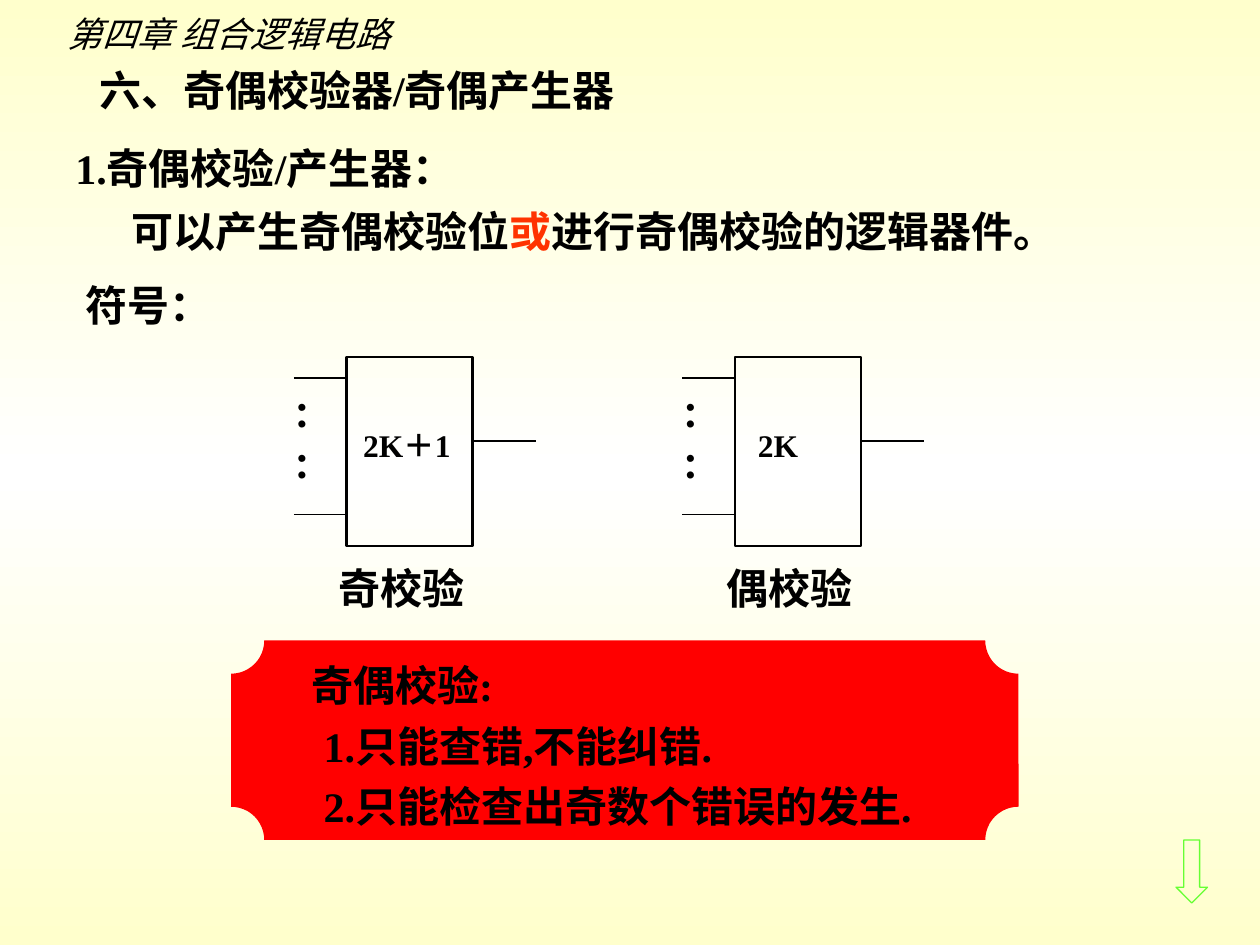
"""Build the slide on parity checkers and parity generators."""
import copy

import pptx
import pptx.dml.color
import pptx.enum.shapes
import pptx.enum.text
import pptx.oxml.ns
import pptx.util
from lxml import etree

BLACK = pptx.dml.color.RGBColor(0, 0, 0)
RED = pptx.dml.color.RGBColor(255, 0, 0)
ORANGE = pptx.dml.color.RGBColor(255, 51, 0)
GREEN = pptx.dml.color.RGBColor(102, 255, 51)
CREAM = pptx.dml.color.RGBColor(255, 255, 204)
WHITE = pptx.dml.color.RGBColor(255, 255, 255)
SERIF = "Times New Roman"
SANS = "Noto Sans CJK SC"
SHAPE = pptx.enum.shapes.MSO_SHAPE
ANCHOR = pptx.enum.text.MSO_ANCHOR
ALIGN = pptx.enum.text.PP_ALIGN
EMU_PER_PX = 7620


def px(*lengths):
    return [pptx.util.Emu(length * EMU_PER_PX) for length in lengths]


class SlideBuilder:
    def __init__(self, presentation):
        self.slide = presentation.slides.add_slide(presentation.slide_layouts[5])
        self.shapes = self.slide.shapes

    def background(self, colors):
        fill = self.slide.background.fill
        fill.gradient()
        fill.gradient_angle = 90
        stops = self.slide.element.xpath(".//a:gsLst")[0]
        stops.append(copy.deepcopy(stops[0]))
        for index, (stop, color) in enumerate(zip(fill.gradient_stops, colors)):
            stop.position = index / 2
            stop.color.rgb = color

    def format(self, paragraph, size=24, font=SERIF, bold=True, italic=False):
        paragraph.font.size = pptx.util.Pt(size)
        paragraph.font.bold = bold
        paragraph.font.italic = italic
        paragraph.font.color.rgb = BLACK
        paragraph.font.name = font
        properties = paragraph.font._element
        east_asian = etree.SubElement(properties, pptx.oxml.ns.qn("a:ea"))
        east_asian.set("typeface", SANS)

    def title(self, box, text):
        title = self.slide.shapes.title
        title.left, title.top, title.width, title.height = px(*box)
        frame = title.text_frame
        frame.text = text
        frame.vertical_anchor = ANCHOR.MIDDLE
        frame.paragraphs[0].alignment = ALIGN.CENTER
        self.format(frame.paragraphs[0])

    def text(self, box, *lines, wrap=False, **style):
        frame = self.shapes.add_textbox(*px(*box)).text_frame
        frame.word_wrap = wrap
        frame.text = "\n".join(lines)
        for paragraph in frame.paragraphs:
            self.format(paragraph, **style)
        return frame

    def shape(self, kind, box, fill=None, line=None, width=0.75):
        shape = self.shapes.add_shape(kind, *px(*box))
        shape.shadow.inherit = False
        for part, color in ((shape.fill, fill), (shape.line.fill, line)):
            if color is None:
                part.background()
            else:
                part.solid()
                part.fore_color.rgb = color
        if line is not None:
            shape.line.width = pptx.util.Pt(width)
        return shape

    def line(self, left, right, y):
        connector = self.shapes.add_connector(
            pptx.enum.shapes.MSO_CONNECTOR.STRAIGHT, *px(left, y, right, y))
        connector.line.color.rgb = BLACK
        connector.line.width = pptx.util.Pt(0.75)
        etree.SubElement(connector._element.spPr, pptx.oxml.ns.qn("a:effectLst"))

    def symbol(self, left, label, label_box):
        self.shapes = self.slide.shapes.add_group_shape().shapes
        self.shape(SHAPE.RECTANGLE, (left, 340, 120, 180), line=BLACK, width=1.5)
        for y in (360, 490):
            self.line(left - 50, left, y)
        self.line(left + 120, left + 180, 420)
        self.text(label_box, label, size=18)
        dots = self.text((left - 60, 380, 65, 85), "∶", "∶", wrap=True)
        for paragraph in dots.paragraphs:
            paragraph.line_spacing = 0.5
        dots.paragraphs[1].space_before = pptx.util.Pt(15)
        self.shapes = self.slide.shapes

    def plaque(self, box, lines):
        shape = self.shape(SHAPE.PLAQUE, box, fill=RED)
        frame = shape.text_frame
        frame.word_wrap = True
        frame.vertical_anchor = ANCHOR.MIDDLE
        frame.text = "\n".join(text for text, indent in lines)
        for paragraph, (text, indent) in zip(frame.paragraphs, lines):
            paragraph.alignment = ALIGN.LEFT
            paragraph.line_spacing = 1.2
            properties = paragraph._p.get_or_add_pPr()
            properties.set("marL", str(indent * EMU_PER_PX))
            self.format(paragraph)


def main():
    presentation = pptx.Presentation()
    presentation.slide_width, presentation.slide_height = px(1200, 900)
    builder = SlideBuilder(presentation)
    builder.background((CREAM, WHITE, CREAM))
    builder.text((52, 6, 340, 53), "第四章 组合逻辑电路",
                 size=20, font=SANS, bold=False, italic=True)
    builder.title((70, 40, 540, 90), "六、奇偶校验器/奇偶产生器")
    builder.text((60, 130, 427, 60), "1.奇偶校验/产生器：", wrap=True)
    definition = builder.text((113, 190, 904, 60), "可以产生奇偶校验位")
    paragraph = definition.paragraphs[0]
    emphasis = paragraph.add_run()
    emphasis.text = "或"
    emphasis.font.color.rgb = ORANGE
    paragraph.add_run().text = "进行奇偶校验的逻辑器件。"
    builder.text((70, 260, 265, 60), "符号：", wrap=True)

    builder.text((311, 530, 144, 60), "奇校验")
    builder.text((680, 530, 144, 60), "偶校验")
    builder.symbol(330, "2K＋1", (334, 400, 121, 48))
    builder.symbol(700, "2K", (710, 400, 62, 48))

    builder.plaque((220, 610, 750, 190), (
        ("奇偶校验:", 42),
        ("1.只能查错,不能纠错.", 54),
        ("2.只能检查出奇数个错误的发生.", 54)))
    builder.shape(SHAPE.DOWN_ARROW, (1120, 800, 30, 60), line=GREEN)
    presentation.save("out.pptx")


if __name__ == "__main__":
    main()
